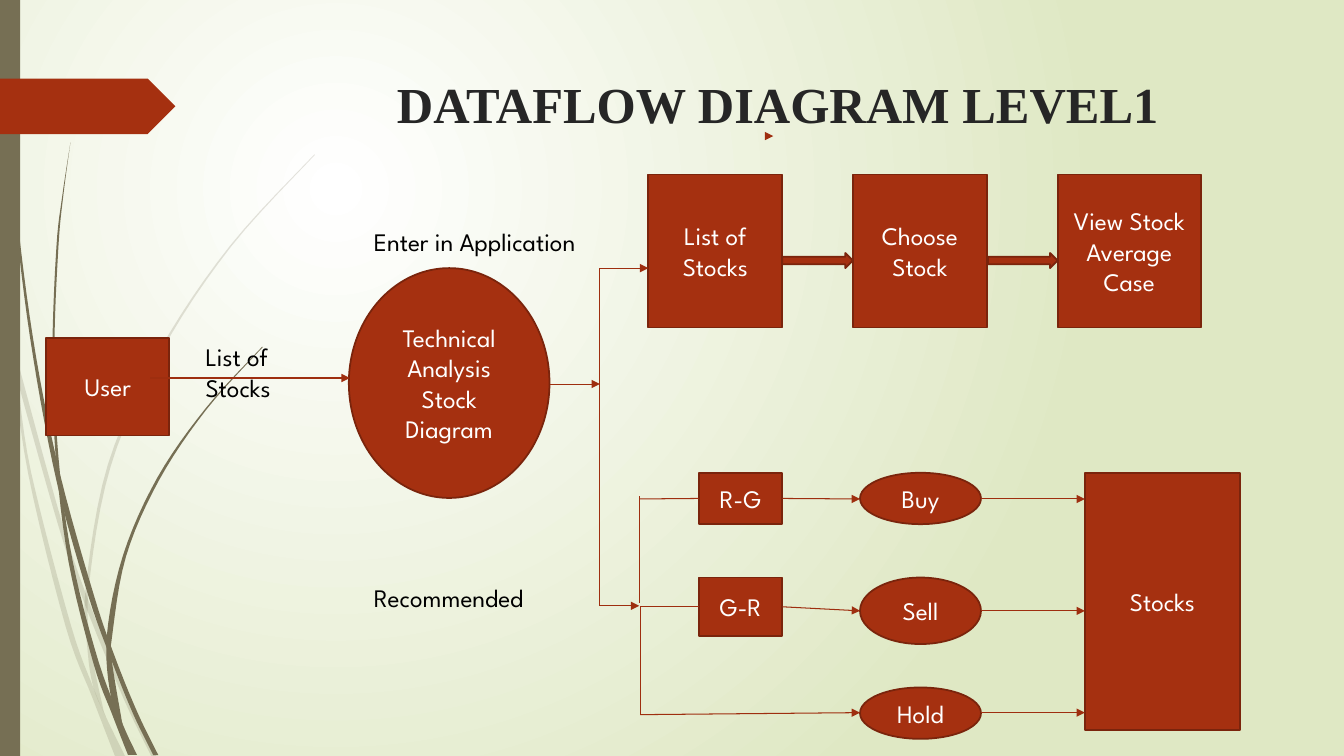
from dataclasses import dataclass

from lxml import etree
from pptx import Presentation
from pptx.dml.color import RGBColor
from pptx.enum.shapes import MSO_CONNECTOR, MSO_SHAPE
from pptx.enum.text import MSO_ANCHOR, MSO_AUTO_SIZE, PP_ALIGN
from pptx.oxml import parse_xml
from pptx.oxml.ns import nsdecls, qn
from pptx.util import Inches, Pt

RECTANGLE = MSO_SHAPE.RECTANGLE
OVAL = MSO_SHAPE.OVAL
RIGHT_ARROW = MSO_SHAPE.RIGHT_ARROW
PENTAGON = MSO_SHAPE.PENTAGON
STRAIGHT = MSO_CONNECTOR.STRAIGHT
CENTER = PP_ALIGN.CENTER
LEFT_SIDE, RIGHT_SIDE = 1, 3

COLORS = {"rust": "A53010", "outline": "7A240C", "line": "9E2E0F", "stem": "766F54",
          "title": "262626", "black": "000000", "white": "FFFFFF", "green": "DFE8C4"}
BODY_FONT = "League Spartan"
TITLE_FONT = "Times New Roman"

Point = tuple[float, float]


@dataclass
class Node:
    text: str
    left: float
    top: float
    width: float
    height: float
    kind: int = RECTANGLE


@dataclass
class Link:
    start: Point
    end: Point
    arrow: bool = True
    source: str = ""  # rectangle left from the middle of its right side
    target: str = ""  # rectangle entered at the middle of its left side


@dataclass
class Label:
    text: str
    left: float
    top: float
    width: float
    height: float


@dataclass
class Stem:
    left_edge: list[Point]
    right_edge: list[Point]
    opacity: int = 100


NODES = [
    Node("User", 0.46, 3.35, 1.22, 0.97),
    Node("Technical Analysis Stock\nDiagram", 3.46, 2.66, 1.99, 2.28, OVAL),
    Node("List of Stocks", 6.43, 1.73, 1.33, 1.52),
    Node("Choose Stock", 8.46, 1.73, 1.33, 1.52),
    Node("View Stock Average Case", 10.49, 1.73, 1.42, 1.52),
    Node("R-G", 6.93, 4.69, 0.83, 0.51),
    Node("G-R", 6.93, 5.73, 0.83, 0.58),
    Node("Buy", 8.53, 4.69, 1.2, 0.51, OVAL),
    Node("Sell", 8.53, 5.73, 1.2, 0.66, OVAL),
    Node("Hold", 8.53, 6.82, 1.2, 0.51, OVAL),
    Node("Stocks", 10.76, 4.69, 1.54, 2.55),
    Node("", 7.76, 2.51, 0.7, 0.15, RIGHT_ARROW),
    Node("", 9.8, 2.51, 0.69, 0.15, RIGHT_ARROW),
]
LINKS = [
    Link((1.49, 3.75), (3.47, 3.75)),
    Link((7.63, 1.35), (7.67, 1.35)),
    Link((5.46, 3.81), (5.95, 3.81)),
    Link((5.95, 3.81), (5.95, 2.66), arrow=False),
    Link((5.95, 2.66), (6.43, 2.66)),
    Link((5.95, 3.81), (5.95, 6.01), arrow=False),
    Link((5.95, 6.01), (6.34, 6.01)),
    Link((6.34, 5.98), (6.34, 4.92), arrow=False),
    Link((6.34, 4.95), (6.93, 4.95), arrow=False, target="R-G"),
    Link((6.35, 6.02), (6.93, 6.02), arrow=False, target="G-R"),
    Link((6.35, 6.02), (6.35, 7.09), arrow=False),
    Link((7.76, 4.95), (8.53, 4.95), source="R-G"),
    Link((7.76, 6.02), (8.53, 6.06), source="G-R"),
    Link((6.35, 7.09), (8.53, 7.07)),
] + [Link((9.73, y), (10.76, y)) for y in (4.95, 6.06, 7.07)]
LABELS = [
    Label("List of Stocks", 1.94, 3.34, 1.22, 0.71),
    Label("Enter in Application", 3.61, 2.2, 2.83, 0.4),
    Label("Recommended", 3.61, 5.73, 2.64, 0.4),
]
# Left edges run from the tip down, right edges from the root up
STEMS = [
    Stem([(0, 2.99), (0.1, 3.44), (0.17, 3.76), (0.58, 5.22), (0.84, 5.99), (1.23, 6.94), (1.5, 7.5)],
         [(1.55, 7.5), (1.27, 6.92), (0.92, 6.07), (0.62, 5.2), (0.14, 3.45), (0.09, 3.22), (0, 2.82)], 20),
    Stem([(0.11, 3.5), (0.28, 4.7), (0.65, 6.21), (0.92, 6.93), (1.14, 7.5)],
         [(1.24, 7.5), (1.05, 7.11), (0.93, 6.83), (0.7, 6.19), (0.31, 4.69), (0.17, 3.76), (0.11, 3.5)], 20),
    Stem([(3.12, 1.53), (2.28, 2.44), (1.58, 3.48), (1.07, 4.61), (0.85, 5.84), (0.87, 6.46),
          (0.93, 6.83), (1.05, 7.11)],
         [(1.03, 7.06), (0.91, 6.46), (0.88, 5.84), (1.1, 4.62), (1.6, 3.49), (2.29, 2.45), (3.12, 1.54)], 20),
    Stem([(0.03, 0), (0.07, 1.1), (0.17, 2.33), (0.33, 3.55), (0.57, 4.81), (0.88, 5.92), (1.11, 6.56),
          (1.32, 7.08), (1.52, 7.49)],
         [(1.57, 7.49), (1.36, 7.06), (1.13, 6.49), (0.93, 5.9), (0.6, 4.72), (0.36, 3.55), (0.19, 2.32),
          (0.08, 1.09), (0.04, 0)]),
    Stem([(0.7, 1.41), (0.62, 1.93), (0.56, 2.45), (0.52, 3.49), (0.55, 4.49), (0.68, 5.57), (0.93, 6.59),
          (1.11, 7.08), (1.27, 7.49)],
         [(1.36, 7.49), (1.22, 7.19), (0.98, 6.57), (0.72, 5.56), (0.58, 4.53), (0.54, 3.49), (0.58, 2.45),
          (0.63, 1.93), (0.7, 1.41)]),
    Stem([(2.6, 3.44), (2.04, 4.05), (1.56, 4.74), (1.22, 5.51), (1.06, 6.31), (1.1, 6.91), (1.22, 7.19)],
         [(1.21, 7.16), (1.11, 6.56), (1.11, 6.33), (1.25, 5.52), (1.58, 4.76), (2.05, 4.06), (2.61, 3.44)]),
]


def color(name: str) -> RGBColor:
    return RGBColor.from_string(COLORS[name])


def format_text(frame, text: str, font_name: str, size: float, color_name: str, alignment=None) -> None:
    frame.word_wrap = True
    frame.text = text
    for paragraph in frame.paragraphs:
        paragraph.alignment = alignment
        paragraph.font.name = font_name
        paragraph.font.size = Pt(size)
        paragraph.font.color.rgb = color(color_name)


def set_background(slide) -> None:
    slide.background.fill.solid()
    properties = slide.background._cSld.bg.bgPr
    gradient = parse_xml(
        f'<a:gradFill {nsdecls("a")} rotWithShape="1"><a:gsLst>'
        f'<a:gs pos="0"><a:srgbClr val="{COLORS["white"]}"/></a:gs>'
        f'<a:gs pos="100000"><a:srgbClr val="{COLORS["green"]}"/></a:gs></a:gsLst>'
        '<a:path path="circle"><a:fillToRect l="50000" t="50000" r="100000" b="100000"/></a:path>'
        '</a:gradFill>')
    properties.replace(properties.find(qn("a:solidFill")), gradient)


def smooth(points: list[Point], steps: int = 6) -> list[Point]:
    """Catmull-Rom curve through the points."""
    padded = [points[0], *points, points[-1]]
    curve = [points[0]]
    for a, b, c, d in zip(padded, padded[1:], padded[2:], padded[3:]):
        for t in (step / steps for step in range(1, steps + 1)):
            curve.append(tuple(
                (2 * q + (r - p) * t + (2 * p - 5 * q + 4 * r - s) * t**2 + (3 * q - p - 3 * r + s) * t**3) / 2
                for p, q, r, s in zip(a, b, c, d)))
    return curve


def draw_stem(slide, stem: Stem) -> None:
    outline = [(Inches(x), Inches(y)) for x, y in smooth(stem.left_edge) + smooth(stem.right_edge)]
    builder = slide.shapes.build_freeform(*outline[0])
    builder.add_line_segments(outline[1:], close=True)
    shape = builder.convert_to_shape()
    fill_plain(shape, "stem")
    if stem.opacity < 100:
        rgb = shape._element.spPr.find(qn("a:solidFill")).find(qn("a:srgbClr"))
        etree.SubElement(rgb, qn("a:alpha")).set("val", str(stem.opacity * 1000))


def fill_plain(shape, color_name: str) -> None:
    shape.shadow.inherit = False
    shape.fill.solid()
    shape.fill.fore_color.rgb = color(color_name)
    shape.line.fill.background()


def draw_node(slide, node: Node):
    shape = slide.shapes.add_shape(node.kind, *map(Inches, (node.left, node.top, node.width, node.height)))
    fill_plain(shape, "rust")
    shape.line.color.rgb = color("outline")
    shape.line.width = Pt(1.25)
    if node.text:
        shape.text_frame.vertical_anchor = MSO_ANCHOR.MIDDLE
        format_text(shape.text_frame, node.text, BODY_FONT, 18, "white", CENTER)
    return shape


def draw_link(slide, link: Link, nodes: dict) -> None:
    connector = slide.shapes.add_connector(STRAIGHT, *map(Inches, link.start + link.end))
    if link.source:
        connector.begin_connect(nodes[link.source], RIGHT_SIDE)
    if link.target:
        connector.end_connect(nodes[link.target], LEFT_SIDE)
    connector.line.color.rgb = color("line")
    connector.line.width = Pt(0.75)
    if link.arrow:
        etree.SubElement(connector.line._get_or_add_ln(), qn("a:tailEnd")).set("type", "triangle")
    etree.SubElement(connector._element.spPr, qn("a:effectLst"))


def main() -> None:
    presentation = Presentation()
    presentation.slide_width, presentation.slide_height = Inches(13.33), Inches(7.5)
    slide = presentation.slides.add_slide(presentation.slide_layouts[5])

    # Backdrop: gradient, stems, side bar and banner
    set_background(slide)
    for stem in STEMS:
        draw_stem(slide, stem)
    for kind, *box in ((RECTANGLE, 0, 0, 0.2, 7.5), (PENTAGON, 0, 0.78, 1.74, 0.55)):
        fill_plain(slide.shapes.add_shape(kind, *map(Inches, box)), "stem" if kind == RECTANGLE else "rust")

    # Title
    title = slide.shapes.title
    title.left, title.top, title.width, title.height = map(Inches, (2.84, 0.68, 9.75, 1.4))
    format_text(title.text_frame, "DATAFLOW DIAGRAM LEVEL1", TITLE_FONT, 36, "title", CENTER)
    title.text_frame.paragraphs[0].font.bold = True
    title.text_frame.vertical_anchor = MSO_ANCHOR.TOP
    title.text_frame.auto_size = MSO_AUTO_SIZE.NONE

    # Diagram
    nodes = {node.text: draw_node(slide, node) for node in NODES}
    for link in LINKS:
        draw_link(slide, link, nodes)
    for label in LABELS:
        box = slide.shapes.add_textbox(*map(Inches, (label.left, label.top, label.width, label.height)))
        format_text(box.text_frame, label.text, BODY_FONT, 18, "black")

    presentation.save("out.pptx")


if __name__ == "__main__":
    main()
